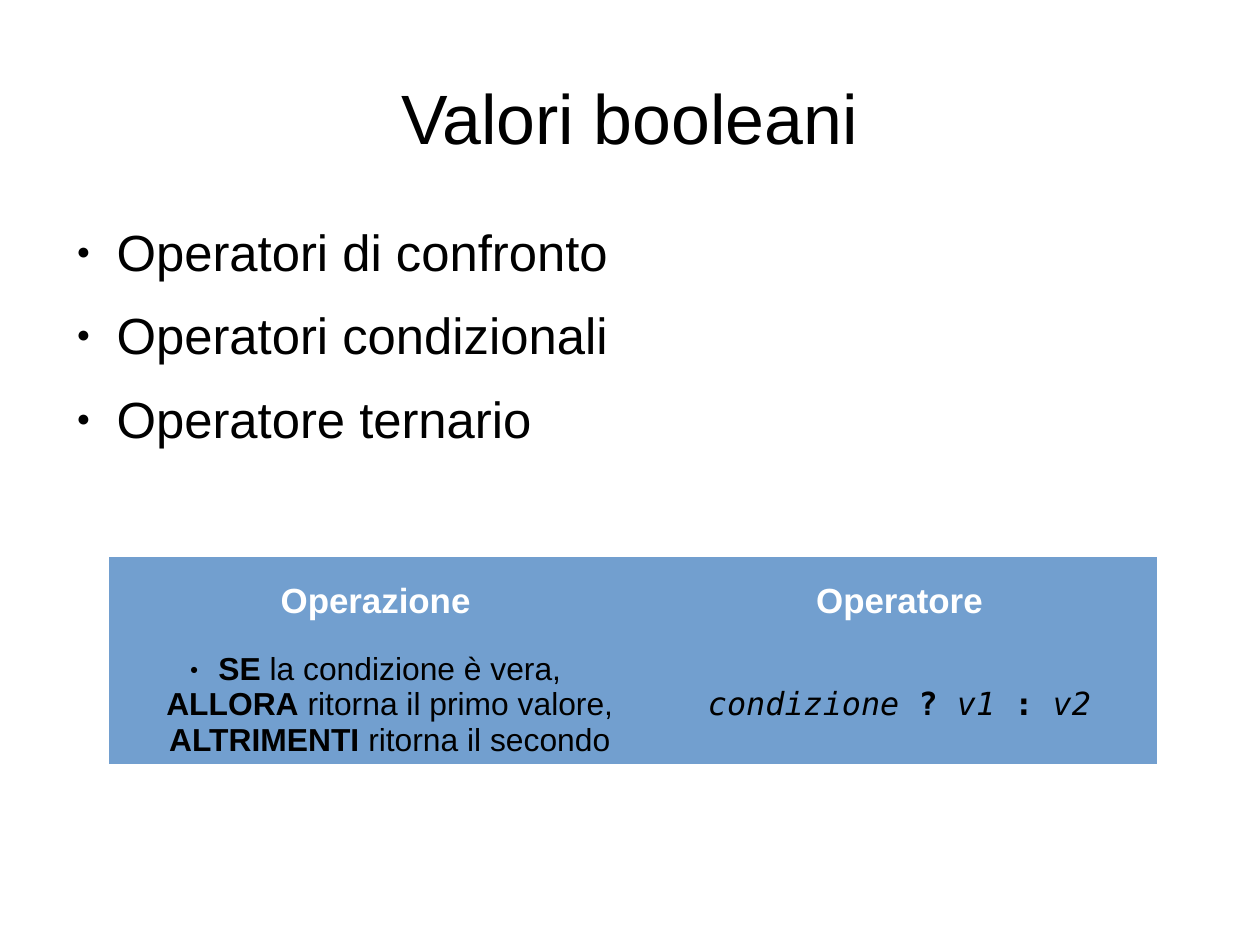
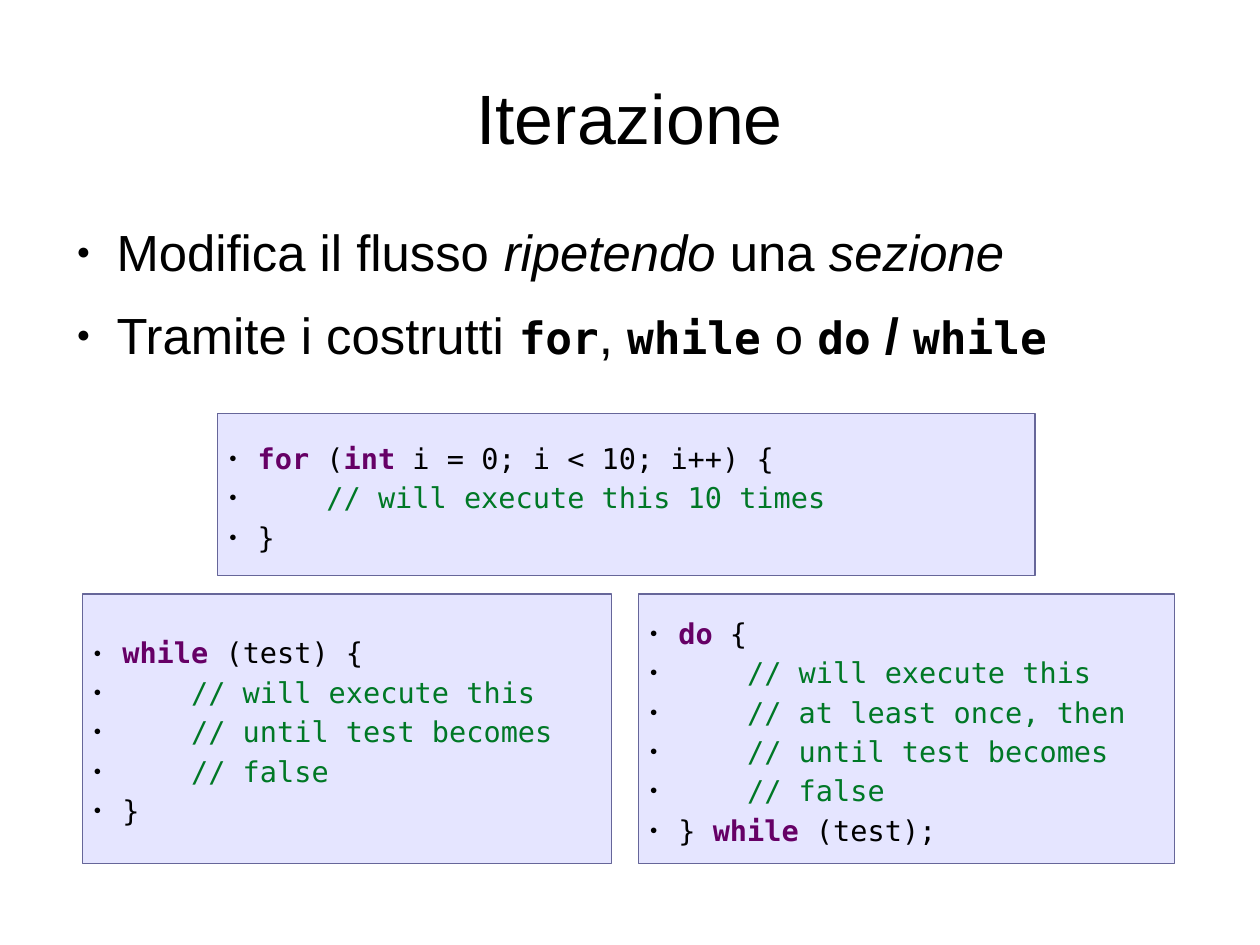
from dataclasses import dataclass

from lxml import etree
from pptx import Presentation
from pptx.dml.color import RGBColor
from pptx.enum.shapes import MSO_SHAPE
from pptx.enum.text import MSO_ANCHOR, MSO_AUTO_SIZE, PP_ALIGN
from pptx.oxml.ns import qn
from pptx.util import Pt

RECTANGLE = MSO_SHAPE.RECTANGLE
TOP, MIDDLE = MSO_ANCHOR.TOP, MSO_ANCHOR.MIDDLE
LEFT, CENTER = PP_ALIGN.LEFT, PP_ALIGN.CENTER
NO_AUTOFIT = MSO_AUTO_SIZE.NONE
PLAIN_TABLE = "{2D5ABB26-0587-4C30-8999-92F81FD0307C}"


@dataclass(frozen=True)
class Theme:
    sans: str = "Arial"
    mono: str = "DejaVu Sans Mono"
    text: str = "000000"
    header: str = "FFFFFF"
    keyword: str = "660066"
    comment: str = "007826"
    table_fill: str = "729FCF"
    code_fill: str = "CCCCFF"
    code_line: str = "666699"
    code_opacity: int = 50
    title_size: int = 44
    body_size: int = 32
    inline_size: int = 28
    header_size: int = 22
    cell_size: int = 20
    code_size: int = 18
    bullet_percent: int = 45


THEME = Theme()


def text_style(font, size, color=THEME.text, bold=False, italic=False):
    return {"name": font, "size": Pt(size), "bold": bold, "italic": italic}, color


STYLES = {
    "title": text_style(THEME.sans, THEME.title_size),
    "body": text_style(THEME.sans, THEME.body_size),
    "emphasis": text_style(THEME.sans, THEME.body_size, italic=True),
    "strong": text_style(THEME.sans, THEME.body_size, bold=True),
    "construct": text_style(THEME.mono, THEME.inline_size, bold=True),
    "header": text_style(THEME.sans, THEME.header_size, THEME.header, bold=True),
    "cell": text_style(THEME.sans, THEME.cell_size),
    "cell strong": text_style(THEME.sans, THEME.cell_size, bold=True),
    "operand": text_style(THEME.mono, THEME.cell_size, italic=True),
    "operator": text_style(THEME.mono, THEME.cell_size, bold=True),
    "code": text_style(THEME.mono, THEME.code_size),
    "keyword": text_style(THEME.mono, THEME.code_size, THEME.keyword, bold=True),
    "comment": text_style(THEME.mono, THEME.code_size, THEME.comment),
}

TITLE_AREA = (39.6, 23.8, 714.2, 99.4)
BODY_AREA = (39.6, 139, 714.2, 344.9)
BODY_INDENT = (33.8, 25.2)
SMALL_INDENT = (18, 18)


def set_format(target, values):
    for attribute, value in values.items():
        setattr(target, attribute, value)


def place(shape, area):
    names = ("left", "top", "width", "height")
    set_format(shape, {name: Pt(length) for name, length in zip(names, area)})


def add_bullet(paragraph, indent):
    margin, hanging = indent
    properties = paragraph._p.get_or_add_pPr()
    properties.set("marL", str(Pt(margin)))
    properties.set("indent", str(-Pt(hanging)))
    color = etree.SubElement(properties, qn("a:buClr"))
    etree.SubElement(color, qn("a:srgbClr"), val=THEME.text)
    etree.SubElement(properties, qn("a:buSzPct"), val=str(THEME.bullet_percent * 1000))
    etree.SubElement(properties, qn("a:buFont"), typeface=THEME.sans)
    etree.SubElement(properties, qn("a:buChar"), char="●")


def write(frame, lines, alignment=LEFT, indent=None, spacing=1.0, after=0):
    for index, line in enumerate(lines):
        paragraph = frame.paragraphs[0] if index == 0 else frame.add_paragraph()
        if indent:
            add_bullet(paragraph, indent)
        set_format(paragraph, {
            "alignment": alignment,
            "line_spacing": spacing,
            "space_before": Pt(0),
            "space_after": Pt(after),
        })
        for text, style in line:
            run = paragraph.add_run()
            run.text = text
            values, color = STYLES[style]
            set_format(run.font, values)
            run.font.color.rgb = RGBColor.from_string(color)


def fill_placeholder(placeholder, area, lines, anchor, **paragraph_format):
    place(placeholder, area)
    set_format(placeholder.text_frame, {
        "word_wrap": True,
        "auto_size": NO_AUTOFIT,
        "vertical_anchor": anchor,
        "margin_left": 0,
        "margin_top": 0,
        "margin_right": 0,
        "margin_bottom": 0,
    })
    write(placeholder.text_frame, lines, **paragraph_format)


def add_content_slide(deck, title, points):
    slide = deck.slides.add_slide(deck.slide_layouts[1])
    fill_placeholder(slide.shapes.title, TITLE_AREA, [[(title, "title")]],
                     MIDDLE, alignment=CENTER)
    fill_placeholder(slide.placeholders[1], BODY_AREA, points,
                     TOP, indent=BODY_INDENT, after=14.2)
    return slide


def add_operator_table(slide, position, widths, heights, rows):
    area = (*position, sum(widths), sum(heights))
    table = slide.shapes.add_table(len(rows), len(widths), *map(Pt, area)).table
    table.first_row = table.horz_banding = False
    table._tbl.tblPr.find(qn("a:tableStyleId")).text = PLAIN_TABLE
    for column, width in zip(table.columns, widths):
        column.width = Pt(width)
    for row, height, contents in zip(table.rows, heights, rows):
        row.height = Pt(height)
        for cell, (line, indent) in zip(row.cells, contents):
            cell.fill.solid()
            cell.fill.fore_color.rgb = RGBColor.from_string(THEME.table_fill)
            cell.vertical_anchor = MIDDLE
            write(cell.text_frame, [line], CENTER, indent)


def add_code_box(slide, area, lines):
    box = slide.shapes.add_shape(RECTANGLE, *map(Pt, area))
    box.shadow.inherit = False
    box.fill.solid()
    box.fill.fore_color.rgb = RGBColor.from_string(THEME.code_fill)
    fill_color = box.fill._xPr.find(".//" + qn("a:srgbClr"))
    etree.SubElement(fill_color, qn("a:alpha"), val=str(THEME.code_opacity * 1000))
    box.line.color.rgb = RGBColor.from_string(THEME.code_line)
    box.line.width = Pt(0)
    set_format(box.text_frame, {"word_wrap": True, "vertical_anchor": MIDDLE})
    write(box.text_frame, lines, indent=SMALL_INDENT, spacing=1.15)


def comment_lines(*comments):
    return [[("    ", "code"), ("// " + comment, "comment")] for comment in comments]


def build_booleans(deck):
    topics = ("Operatori di confronto", "Operatori condizionali", "Operatore ternario")
    slide = add_content_slide(deck, "Valori booleani",
                              [[(topic, "body")] for topic in topics])
    operation = [
        ("SE ", "cell strong"), ("la condizione è vera, ", "cell"),
        ("ALLORA", "cell strong"), (" ritorna il primo valore, ", "cell"),
        ("ALTRIMENTI", "cell strong"), (" ritorna il secondo", "cell"),
    ]
    ternary = [
        ("condizione ", "operand"), ("? ", "operator"), ("v1 ", "operand"),
        (": ", "operator"), ("v2", "operand"),
    ]
    add_operator_table(slide, (68.6, 350.8), (336, 324), (56.2, 74.2), [
        [([("Operazione", "header")], None), ([("Operatore", "header")], None)],
        [(operation, SMALL_INDENT), (ternary, None)],
    ])


def build_iteration(deck):
    slide = add_content_slide(deck, "Iterazione", [
        [("Modifica il flusso ", "body"), ("ripetendo", "emphasis"),
         (" una ", "body"), ("sezione", "emphasis")],
        [("Tramite i costrutti ", "body"), ("for", "construct"), (", ", "body"),
         ("while", "construct"), (" o ", "body"), ("do", "construct"),
         (" / ", "strong"), ("while", "construct")],
    ])
    closing = [("}", "code")]
    add_code_box(slide, (137.2, 260.5, 514.8, 102.2), [
        [("for", "keyword"), (" (", "code"), ("int ", "keyword"),
         ("i = 0; i < 10; i++) {", "code")],
        *comment_lines("will execute this 10 times"),
        closing,
    ])
    add_code_box(slide, (52, 374.2, 333.4, 169.9), [
        [("while", "keyword"), (" (test) {", "code")],
        *comment_lines("will execute this", "until test becomes", "false"),
        closing,
    ])
    add_code_box(slide, (402.2, 374.2, 337.8, 169.9), [
        [("do", "keyword"), (" {", "code")],
        *comment_lines("will execute this", "at least once, then",
                       "until test becomes", "false"),
        [("} ", "code"), ("while", "keyword"), (" (test);", "code")],
    ])


def main():
    deck = Presentation()
    deck.slide_width, deck.slide_height = Pt(793.7), Pt(595.3)
    build_booleans(deck)
    build_iteration(deck)
    deck.save("out.pptx")


if __name__ == "__main__":
    main()
